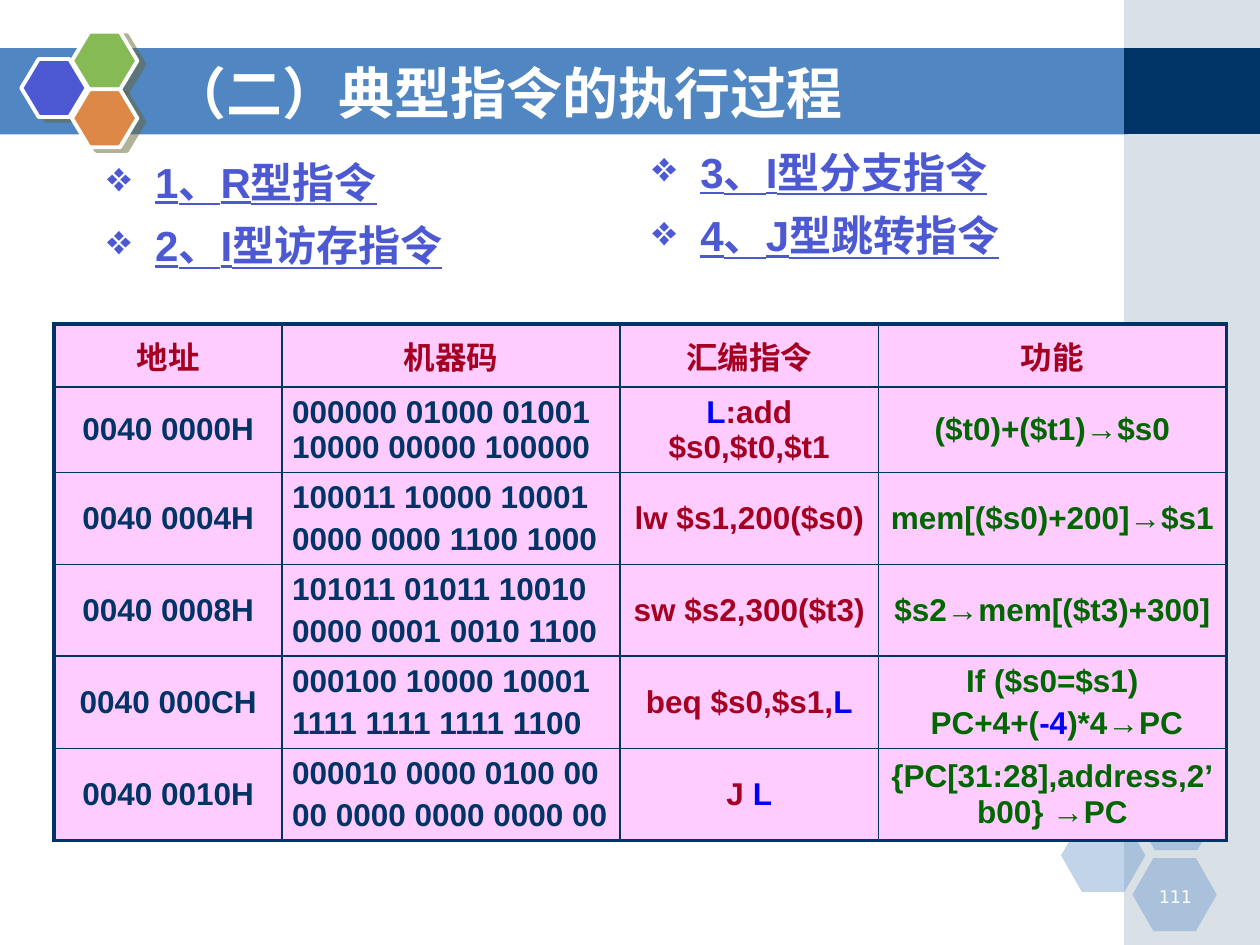
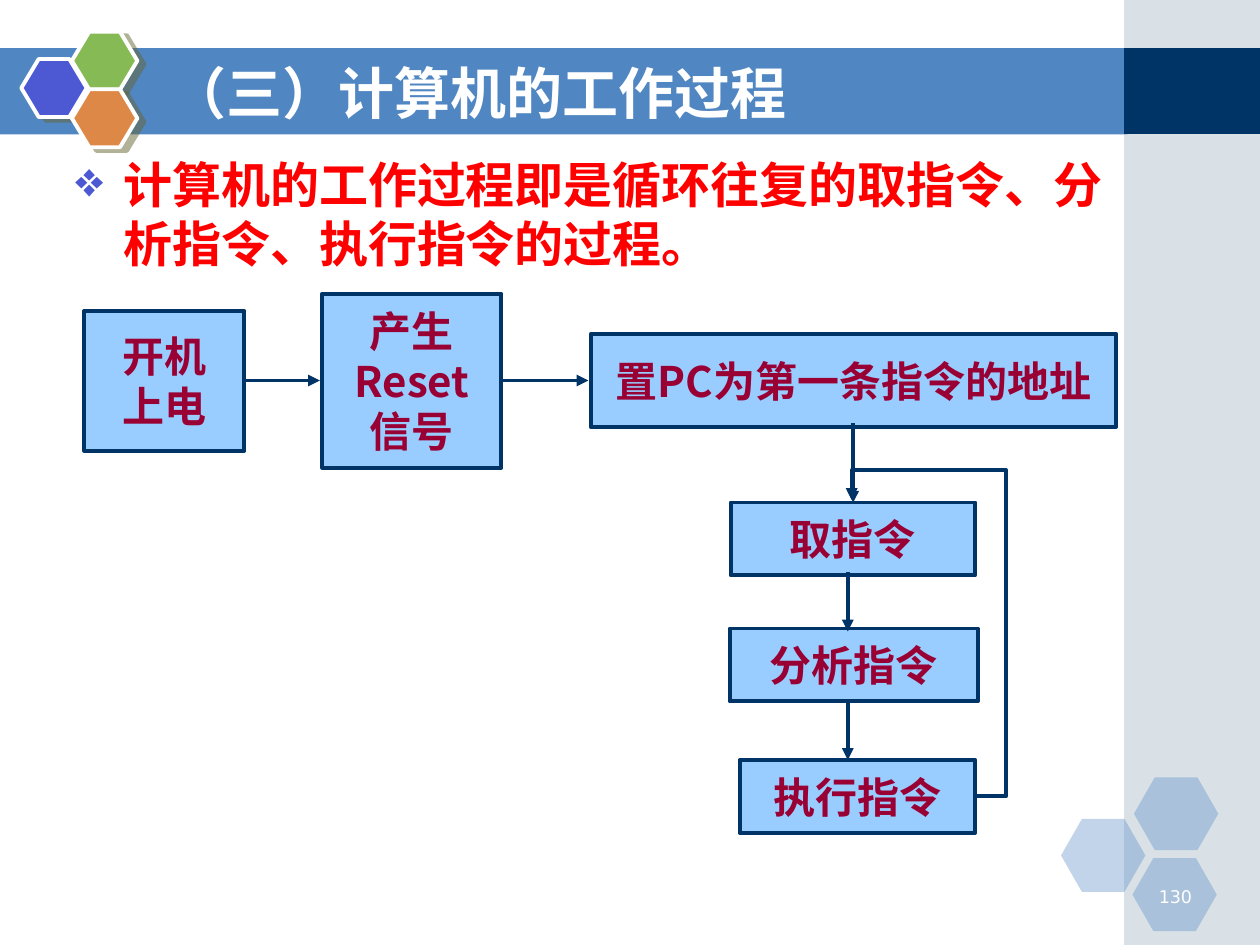
"""Builds two slides on instruction execution and how a computer works."""
from lxml import etree
from pptx import Presentation
from pptx.dml.color import RGBColor
from pptx.enum.shapes import MSO_CONNECTOR, MSO_SHAPE
from pptx.enum.text import MSO_ANCHOR, MSO_AUTO_SIZE, PP_ALIGN
from pptx.oxml.ns import qn
from pptx.util import Cm, Pt

RECT, HEXAGON = MSO_SHAPE.RECTANGLE, MSO_SHAPE.HEXAGON
STRAIGHT, ELBOW = MSO_CONNECTOR.STRAIGHT, MSO_CONNECTOR.ELBOW
LEFT, CENTER, RIGHT = PP_ALIGN.LEFT, PP_ALIGN.CENTER, PP_ALIGN.RIGHT
MIDDLE = MSO_ANCHOR.MIDDLE

WHITE = RGBColor(0xFF, 0xFF, 0xFF)
NAVY = RGBColor(0x00, 0x33, 0x66)
BAND = RGBColor(0x50, 0x86, 0xC2)
SIDE = RGBColor(0xA0, 0xB5, 0xC4)
INDIGO = RGBColor(0x4C, 0x59, 0xD2)
LEAF = RGBColor(0x85, 0xBA, 0x54)
ORANGE = RGBColor(0xDE, 0x88, 0x48)
SHADOW = RGBColor(0x66, 0x66, 0x33)
CRIMSON = RGBColor(0xA5, 0x00, 0x21)
GREEN = RGBColor(0x00, 0x66, 0x00)
BLUE = RGBColor(0x00, 0x00, 0xFF)
PINK = RGBColor(0xFF, 0xCC, 0xFF)
SKY = RGBColor(0x99, 0xCC, 0xFF)
WINE = RGBColor(0x99, 0x00, 0x33)
RED = RGBColor(0xFF, 0x00, 0x00)

CJK, LATIN, NUMBER = "Noto Sans CJK SC", "Arial", "DejaVu Sans"
THIN, THICK = Pt(1), Pt(2.25)


def add(parent, tag, **attributes):
    return etree.SubElement(parent, qn(tag), {k: str(v) for k, v in attributes.items()})


def add_bullet(p, indent=Cm(0.97)):
    pPr = p._p.get_or_add_pPr()
    pPr.set("marL", str(indent))
    pPr.set("indent", str(-indent))
    add(add(pPr, "a:buClr"), "a:srgbClr", val=INDIGO)
    add(pPr, "a:buChar", char="❖")


def write(tf, paragraphs, size, color, font=CJK, bold=True, underline=None,
          align=LEFT, bullet=False, line=None, before=0):
    for i, content in enumerate(paragraphs):
        p = tf.paragraphs[0] if i == 0 else tf.add_paragraph()
        p.alignment = align
        if bullet:
            add_bullet(p)
        if line:
            p.line_spacing = line
        if i and before:
            p.space_before = Pt(before)
        for part in [content] if isinstance(content, str) else content:
            text, tint = (part, color) if isinstance(part, str) else part
            r = p.add_run()
            r.text = text
            r.font.size, r.font.bold, r.font.underline = Pt(size), bold, underline
            r.font.color.rgb = tint
            r.font.name = font
            add(r._r.get_or_add_rPr(), "a:ea", typeface=CJK)


class Deck:
    def __init__(self):
        self.prs = Presentation()
        self.prs.slide_width, self.prs.slide_height = Cm(25.4), Cm(19.05)
        self.layout = self.prs.slide_layouts[5]
        self.s = None

    def slide(self, title, number):
        self.s = self.prs.slides.add_slide(self.layout)
        if len(self.prs.slides) == 1:
            self.decorate_layout()
        sp = self.s.shapes.title
        sp.left, sp.top, sp.width, sp.height = Cm(3.18), Cm(1.07), Cm(18.62), Cm(1.57)
        sp.text_frame.auto_size = MSO_AUTO_SIZE.NONE
        sp.text_frame.vertical_anchor = MIDDLE
        write(sp.text_frame, [title], 32, WHITE)
        self.text([number], 23.01, 17.73, 1.27, 0.64, size=10, color=WHITE,
                  font=NUMBER, bold=False, align=RIGHT)

    def decorate_layout(self):
        self.shape(RECT, 0, 0.97, 22.73, 1.74, BAND)
        self.shape(RECT, 22.66, 0, 2.74, 19.05, SIDE, alpha=40)
        self.shape(RECT, 22.66, 0.97, 2.74, 1.73, NAVY)
        for x, y in [(21.39, 16.51), (22.86, 15.67), (22.83, 17.3)]:
            self.shape(HEXAGON, x, y, 1.7, 1.47, BAND, alpha=35).adjustments[0] = 0.286
        for x, y, color in [(0.43, 1.19, INDIGO), (1.45, 0.64, LEAF), (1.45, 1.8, ORANGE)]:
            sp = self.shape(HEXAGON, x, y, 1.32, 1.17, color, line=WHITE)
            sp.adjustments[0] = 0.3
            self.cast_shadow(sp)
        for sp in list(self.s.shapes)[1:]:
            self.layout.shapes._spTree.append(sp._element)

    def cast_shadow(self, sp):
        effects = sp._element.spPr.find(qn("a:effectLst"))
        shadow = add(effects, "a:outerShdw", dist=Pt(4.5), dir=27 * 60000,
                     algn="ctr", rotWithShape=0)
        add(add(shadow, "a:srgbClr", val=SHADOW), "a:alpha", val=50000)

    def shape(self, kind, x, y, w, h, fill, line=None, alpha=None):
        sp = self.s.shapes.add_shape(kind, Cm(x), Cm(y), Cm(w), Cm(h))
        sp.shadow.inherit = False
        sp.fill.solid()
        sp.fill.fore_color.rgb = fill
        if alpha:
            color = sp._element.spPr.find(qn("a:solidFill")).find(qn("a:srgbClr"))
            add(color, "a:alpha", val=alpha * 1000)
        if line is None:
            sp.line.fill.background()
        else:
            sp.line.color.rgb = line
            sp.line.width = THICK
        return sp

    def text(self, paragraphs, x, y, w, h, **style):
        sp = self.s.shapes.add_textbox(Cm(x), Cm(y), Cm(w), Cm(h))
        sp.text_frame.word_wrap = True
        write(sp.text_frame, paragraphs, **style)

    def step(self, lines, x, y, w, h):
        tf = self.shape(RECT, x, y, w, h, SKY, line=NAVY).text_frame
        tf.word_wrap = False
        tf.vertical_anchor = MIDDLE
        tf.margin_left = tf.margin_right = Cm(0.05)
        write(tf, lines, 24, WINE, align=CENTER)

    def arrow(self, x1, y1, x2, y2, kind=STRAIGHT):
        cxn = self.s.shapes.add_connector(kind, Cm(x1), Cm(y1), Cm(x2), Cm(y2))
        cxn.line.color.rgb = NAVY
        cxn.line.width = THICK
        add(cxn.line._get_or_add_ln(), "a:tailEnd", type="triangle")
        add(cxn._element.spPr, "a:effectLst")
        return cxn

    def loop_back(self, x1, y1, x2, y2):
        cxn = self.arrow(x1, y1, x2, y2, kind=ELBOW)
        geometry = cxn._element.spPr.find(qn("a:prstGeom"))
        geometry.set("prst", "bentConnector4")
        guides = geometry.find(qn("a:avLst"))
        for name, value in [("adj1", -23600), ("adj2", 110000)]:
            add(guides, "a:gd", name=name, fmla=f"val {value}")

    def table(self, rows, x, y, widths, heights, colors):
        frame = self.s.shapes.add_table(len(rows), len(widths), Cm(x), Cm(y),
                                        Cm(sum(widths)), Cm(sum(heights)))
        table = frame.table
        table.first_row = table.horz_banding = False
        for column, width in zip(table.columns, widths):
            column.width = Cm(width)
        last_row, last_column = len(rows) - 1, len(widths) - 1
        for i, row in enumerate(rows):
            table.rows[i].height = Cm(heights[i])
            for j, paragraphs in enumerate(row):
                cell = table.cell(i, j)
                code = i > 0 and j == 1
                self.border(cell, L=j == 0, R=j == last_column, T=i == 0, B=i == last_row)
                cell.fill.solid()
                cell.fill.fore_color.rgb = PINK
                cell.vertical_anchor = MIDDLE
                cell.margin_left = Cm(0.2 if code else 0.1)
                cell.margin_right = cell.margin_top = cell.margin_bottom = Cm(0.1)
                write(cell.text_frame, paragraphs, 18, colors[j] if i else CRIMSON,
                      font=LATIN, align=LEFT if code else CENTER, before=3.6)

    def border(self, cell, **outer_sides):
        tcPr = cell._tc.get_or_add_tcPr()
        for side, outer in outer_sides.items():
            ln = add(tcPr, f"a:ln{side}", w=THICK if outer else THIN)
            add(add(ln, "a:solidFill"), "a:srgbClr", val=NAVY)


def instruction_slide(deck):
    deck.slide("（二）典型指令的执行过程", "111")
    topics = [(1.91, 2.92, ["1、R型指令", "2、I型访存指令"]),
              (12.9, 2.72, ["3、I型分支指令", "4、J型跳转指令"])]
    for x, y, lines in topics:
        deck.text(lines, x, y, 10.39, 2.79, size=24, color=INDIGO, font=LATIN,
                  underline=True, bullet=True, line=1.1, before=4.8)
    label = ("L", BLUE)
    rows = [
        [["地址"], ["机器码"], ["汇编指令"], ["功能"]],
        [["0040 0000H"], ["000000 01000 01001 10000 00000 100000"],
         [[label, ":add $s0,$t0,$t1"]], ["($t0)+($t1)→$s0"]],
        [["0040 0004H"], ["100011 10000 10001", "0000 0000 1100 1000"],
         ["lw $s1,200($s0)"], ["mem[($s0)+200]→$s1"]],
        [["0040 0008H"], ["101011 01011 10010", "0000 0001 0010 1100"],
         ["sw $s2,300($t3)"], ["$s2→mem[($t3)+300]"]],
        [["0040 000CH"], ["000100 10000 10001", "1111 1111 1111 1100"],
         [["beq $s0,$s1,", label]],
         ["If ($s0=$s1)", [" PC+4+(", ("-4", BLUE), ")*4→PC"]]],
        [["0040 0010H"], ["000010 0000 0100 00", "00 0000 0000 0000 00"],
         [["J ", label]], ["{PC[31:28],address,2’b00} →PC"]],
    ]
    deck.table(rows, 1.09, 6.53, widths=[4.6, 6.81, 5.21, 7.01],
               heights=[1.27, 1.65, 1.8, 1.75, 1.86, 1.8],
               colors=[NAVY, NAVY, CRIMSON, GREEN])


def working_process_slide(deck):
    deck.slide("（三）计算机的工作过程", "130")
    deck.text(["计算机的工作过程即是循环往复的取指令、分析指令、执行指令的过程。"],
              1.27, 3, 21.44, 2.74, size=28, color=RED, bullet=True)
    deck.step(["开机", "上电"], 1.7, 6.27, 3.23, 2.82)
    deck.step(["产生", "Reset", "信号"], 6.5, 5.92, 3.61, 3.51)
    deck.step(["置PC为第一条指令的地址"], 11.91, 6.73, 10.59, 1.88)
    deck.step(["取指令"], 14.73, 10.13, 4.93, 1.47)
    deck.step(["分析指令"], 14.71, 12.67, 5, 1.47)
    deck.step(["执行指令"], 14.91, 15.32, 4.75, 1.47)
    for x1, x2 in [(4.95, 6.45), (10.13, 11.86)]:
        deck.arrow(x1, 7.67, x2, 7.67)
    for x, y1, y2 in [(17.2, 8.53, 10.13), (17.09, 11.53, 12.73), (17.09, 14.12, 15.32)]:
        deck.arrow(x, y1, x, y2)
    deck.loop_back(19.69, 16.05, 17.17, 10.08)


def main():
    deck = Deck()
    instruction_slide(deck)
    working_process_slide(deck)
    deck.prs.save("out.pptx")


if __name__ == "__main__":
    main()
